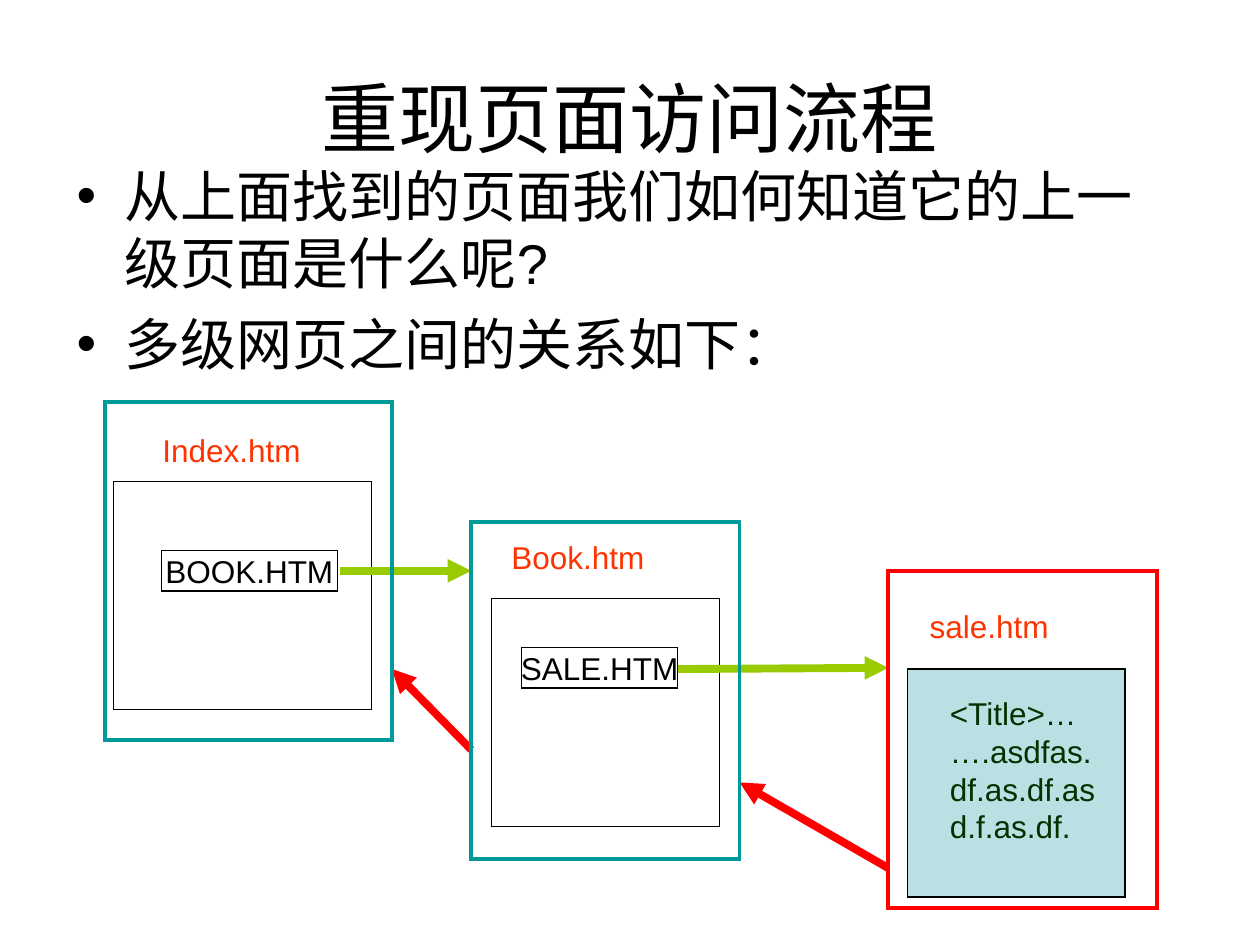
"""Build the slide on retracing the page visit flow."""
from lxml.etree import SubElement
from pptx import Presentation
from pptx.dml.color import RGBColor
from pptx.enum.shapes import MSO_CONNECTOR, MSO_SHAPE
from pptx.enum.text import MSO_ANCHOR, MSO_AUTO_SIZE, PP_ALIGN
from pptx.oxml.ns import qn
from pptx.util import Inches, Pt

BLACK = RGBColor(0x00, 0x00, 0x00)
RED = RGBColor(0xFF, 0x00, 0x00)
TEAL = RGBColor(0x00, 0x99, 0x99)
GREEN = RGBColor(0x99, 0xCC, 0x00)
ORANGE = RGBColor(0xFF, 0x33, 0x00)
DARK_GREEN = RGBColor(0x00, 0x33, 0x00)
PALE_BLUE = RGBColor(0xBB, 0xE0, 0xE3)


def write(frame, *texts, size=18, color=BLACK, font="Arial", align=PP_ALIGN.LEFT,
          anchor=MSO_ANCHOR.TOP, wrap=True, grow=False, bullet=None, gap=0):
    frame.word_wrap = wrap
    frame.vertical_anchor = anchor
    if grow:
        frame.auto_size = MSO_AUTO_SIZE.SHAPE_TO_FIT_TEXT
    for index, text in enumerate(texts):
        paragraph = frame.add_paragraph() if index else frame.paragraphs[0]
        paragraph.text = text
        paragraph.alignment = align
        paragraph.space_before = Pt(gap if index else 0)
        if bullet:
            properties = paragraph._p.get_or_add_pPr()
            properties.set("marL", str(Inches(0.38)))
            properties.set("indent", str(-Inches(0.38)))
            SubElement(properties, qn("a:buFont")).set("typeface", font)
            SubElement(properties, qn("a:buChar")).set("char", bullet)
        paragraph.font.name = font
        paragraph.font.size = Pt(size)
        paragraph.font.color.rgb = color


class FlowSlide:
    def __init__(self, slide, thin=0.75, thick=2.25, arrow=4.5):
        self.shapes = slide.shapes
        self.thin, self.thick, self.arrow_width = thin, thick, arrow

    def text(self, place, *texts, **style):
        box = self.shapes.add_textbox(*map(Inches, place))
        write(box.text_frame, *texts, **style)

    def box(self, place, line=BLACK, width=None, fill=None, label=None):
        box = self.shapes.add_shape(MSO_SHAPE.RECTANGLE, *map(Inches, place))
        box.shadow.inherit = False
        if fill is None:
            box.fill.background()
        else:
            box.fill.solid()
            box.fill.fore_color.rgb = fill
        box.line.color.rgb = line
        box.line.width = Pt(width or self.thin)
        SubElement(box.line._get_or_add_ln(), qn("a:miter")).set("lim", "800000")
        if label:
            write(box.text_frame, label, align=PP_ALIGN.CENTER,
                  anchor=MSO_ANCHOR.MIDDLE, wrap=False)

    def arrow(self, start, end, color):
        arrow = self.shapes.add_connector(
            MSO_CONNECTOR.STRAIGHT, *map(Inches, start + end))
        arrow.line.color.rgb = color
        arrow.line.width = Pt(self.arrow_width)
        SubElement(arrow.line._get_or_add_ln(), qn("a:tailEnd")).set("type", "triangle")
        SubElement(arrow._element.spPr, qn("a:effectLst"))


def main():
    presentation = Presentation()
    presentation.slide_width, presentation.slide_height = Inches(10), Inches(7.5)
    flow = FlowSlide(presentation.slides.add_slide(presentation.slide_layouts[6]))

    flow.text((0.5, 0.3, 9, 1.25), "重现页面访问流程", size=44,
              align=PP_ALIGN.CENTER, anchor=MSO_ANCHOR.MIDDLE)
    flow.text((0.51, 1.23, 9, 1.81),
              "从上面找到的页面我们如何知道它的上一级页面是什么呢?",
              "多级网页之间的关系如下：", size=32, bullet="•", gap=8)

    for content, fill, heading, name in (
        ((0.9, 3.82, 2.05, 1.81), None, (1.19, 3.37, 1.3, 0.4), "Index.htm"),
        ((3.9, 4.75, 1.81, 1.81), None, (3.96, 4.22, 1.27, 0.4), "Book.htm"),
        ((7.2, 5.31, 1.73, 1.81), PALE_BLUE, (7.28, 4.77, 1.16, 0.4), "sale.htm"),
    ):
        flow.box(content, fill=fill)
        flow.text(heading, name, color=ORANGE, wrap=False, grow=True)

    flow.box((1.28, 4.37, 1.4, 0.32), label="BOOK.HTM")
    flow.box((4.14, 5.14, 1.24, 0.32), label="SALE.HTM")
    flow.text((7.44, 5.46, 1.42, 1.76), "<Title>…….asdfas.df.as.df.asd.f.as.df.",
              color=DARK_GREEN)

    for start, end, color in (
        ((2.7, 4.53), (3.74, 4.53), GREEN),
        ((5.38, 5.31), (7.05, 5.3), GREEN),
        ((7.05, 6.89), (5.87, 6.21), RED),
        ((3.74, 5.95), (3.11, 5.31), RED),
    ):
        flow.arrow(start, end, color)

    for left, top, width, color in (
        (7.05, 4.53, 2.13, RED),
        (0.83, 3.19, 2.28, TEAL),
        (3.74, 4.14, 2.13, TEAL),
    ):
        flow.box((left, top, width, 2.68), line=color, width=flow.thick)

    presentation.save("out.pptx")


if __name__ == "__main__":
    main()
